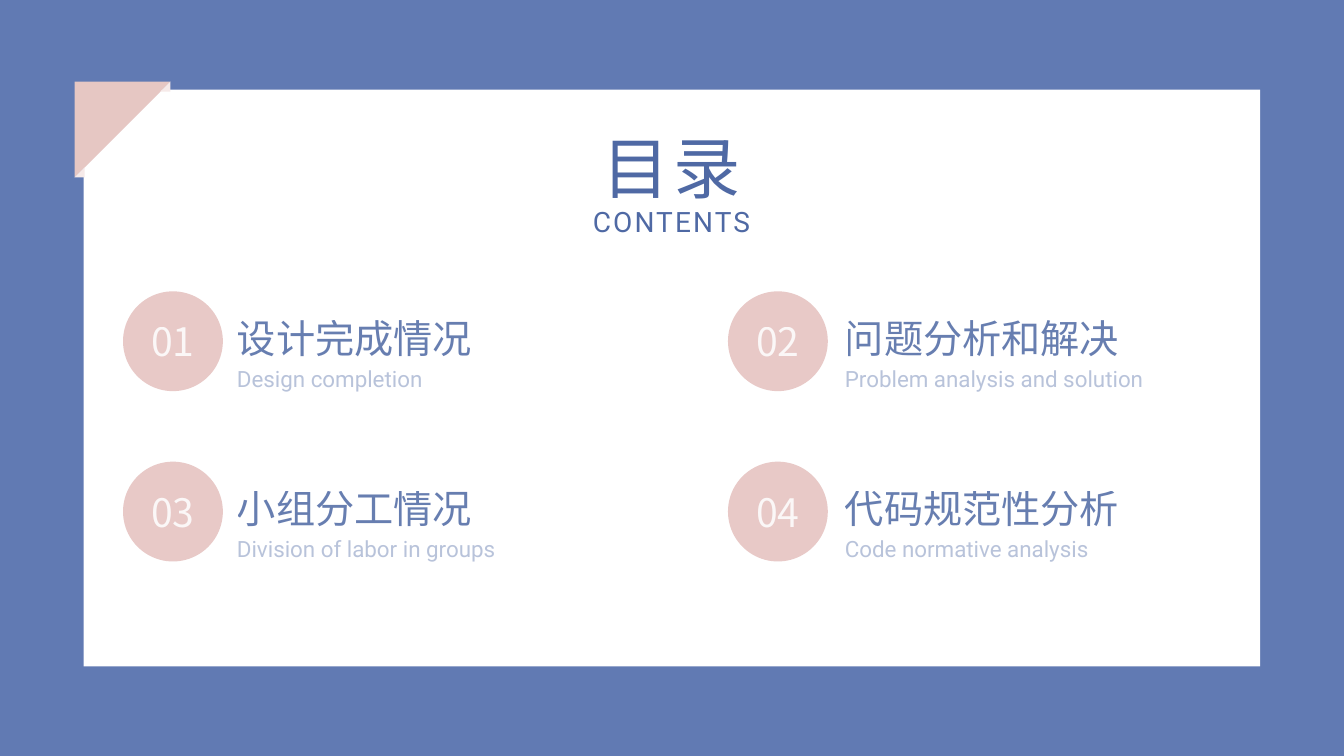
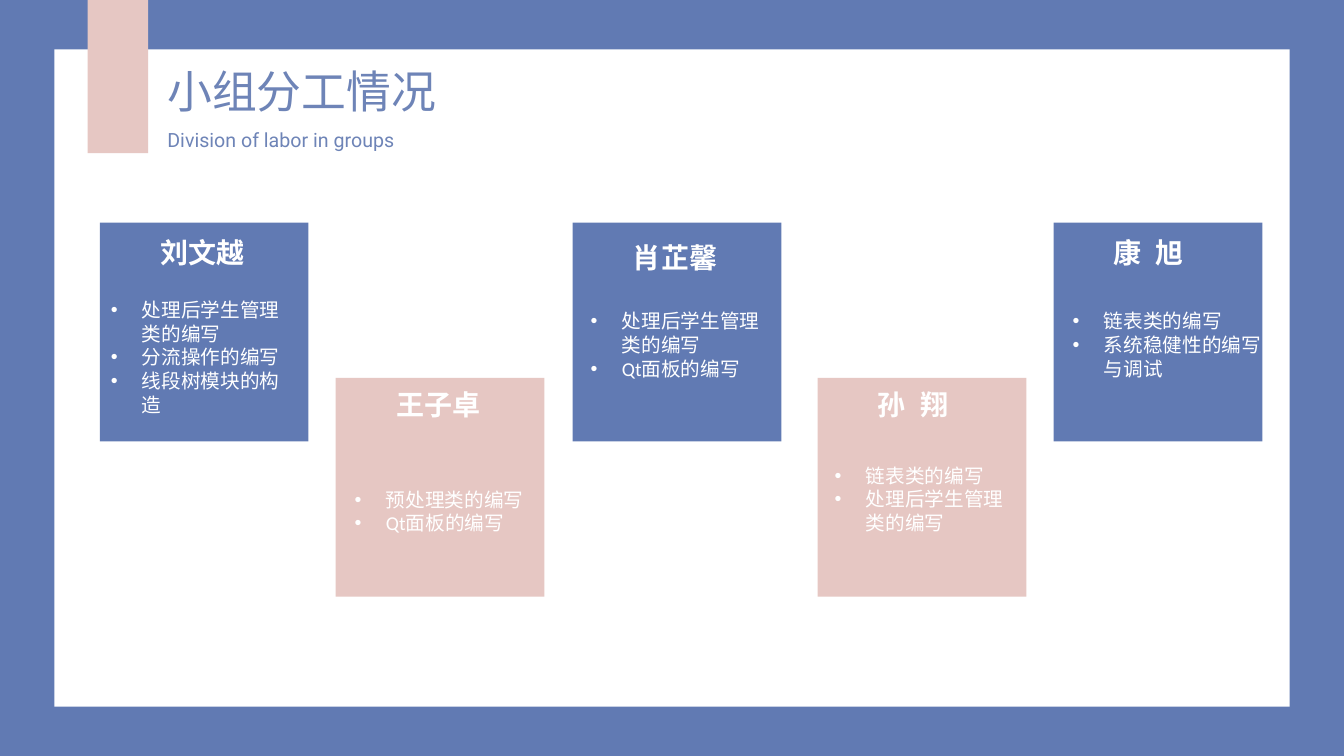
from dataclasses import dataclass

from lxml import etree
from pptx import Presentation
from pptx.dml.color import RGBColor
from pptx.enum import shapes, text
from pptx.oxml import ns
from pptx.util import Inches, Pt


@dataclass(frozen=True)
class Theme:
    """Colours, fonts and type sizes shared by the slides."""
    blue: str = "617AB3"
    ink: str = "4F69A4"
    heading: str = "6E84B7"
    pink: str = "E6C7C3"
    circle: str = "E8C9C7"
    fold: str = "F6EAE9"
    white: str = "FFFFFF"
    chinese: str = "Noto Sans CJK SC"
    english: str = "Roboto"
    body: str = "Calibri"
    contents_size: int = 48
    heading_size: int = 32
    entry_size: int = 28
    label_size: int = 20
    note_size: int = 16
    body_size: int = 14


@dataclass(frozen=True)
class Style:
    """Look of one kind of text."""
    size: int
    font: str
    colour: str
    alpha: int = 100
    leading: float = 0
    tracking: float = 0
    bold: bool = False
    centred: bool = False
    bullet: bool = False
    inset: bool = False


THEME = Theme()
CONTENTS = Style(THEME.contents_size, THEME.chinese, THEME.ink, leading=57.6, tracking=2.5, centred=True)
CONTENTS_NOTE = Style(THEME.label_size, THEME.english, THEME.ink, leading=24, tracking=1.5, centred=True)
ENTRY = Style(THEME.entry_size, THEME.chinese, THEME.ink, alpha=85, leading=33.6)
ENTRY_NOTE = Style(THEME.note_size, THEME.english, THEME.ink, alpha=40, leading=19.2)
NUMBER = Style(THEME.entry_size, THEME.chinese, THEME.white, alpha=85, leading=33.6, centred=True)
HEADING = Style(THEME.heading_size, THEME.chinese, THEME.heading, leading=38.4)
HEADING_NOTE = Style(THEME.body_size, THEME.english, THEME.heading, leading=24)
MEMBER = Style(THEME.label_size, THEME.chinese, THEME.white, bold=True, inset=True)
TASK = Style(THEME.body_size, THEME.body, THEME.white, bullet=True, inset=True)


def paint(shape, colour):
    """Give a shape a plain fill without line or shadow."""
    shape.shadow.inherit = False
    shape.fill.solid()
    shape.fill.fore_color.rgb = RGBColor.from_string(colour)
    shape.line.fill.background()


def add_block(slide, box, colour, kind=shapes.MSO_SHAPE.RECTANGLE):
    """Add a filled preset shape in a box given in inches."""
    paint(slide.shapes.add_shape(kind, *map(Inches, box)), colour)


def add_triangle(slide, points, colour):
    """Add a filled triangle through three points given in inches."""
    start, *others = [(Inches(x), Inches(y)) for x, y in points]
    builder = slide.shapes.build_freeform(*start, scale=1.0)
    builder.add_line_segments(others, close=True)
    paint(builder.convert_to_shape(), colour)


def add_run(paragraph, words, style):
    """Add one styled run to a paragraph."""
    run = paragraph.add_run()
    run.text = words
    run.font.size = Pt(style.size)
    run.font.bold = style.bold
    run.font.color.rgb = RGBColor.from_string(style.colour)
    run.font.name = style.font
    properties = run._r.get_or_add_rPr()
    etree.SubElement(properties, ns.qn("a:ea"), typeface=style.font)
    if style.tracking:
        properties.set("spc", str(int(style.tracking * 100)))
    if style.alpha < 100:
        colour = properties.find(".//" + ns.qn("a:srgbClr"))
        etree.SubElement(colour, ns.qn("a:alpha"), val=str(style.alpha * 1000))


def add_text(slide, box, lines, style):
    """Add a text box with one paragraph for each line."""
    frame = slide.shapes.add_textbox(*map(Inches, box)).text_frame
    frame.word_wrap = True
    frame.auto_size = text.MSO_AUTO_SIZE.SHAPE_TO_FIT_TEXT
    if not style.inset:
        frame.margin_left = frame.margin_right = frame.margin_top = frame.margin_bottom = 0
    for index, words in enumerate(lines):
        paragraph = frame.add_paragraph() if index else frame.paragraphs[0]
        paragraph.alignment = text.PP_ALIGN.CENTER if style.centred else text.PP_ALIGN.LEFT
        if style.leading:
            paragraph.line_spacing = Pt(style.leading)
        if style.bullet:
            properties = paragraph._p.get_or_add_pPr()
            indent = Inches(0.31)
            properties.set("marL", str(indent))
            properties.set("indent", str(-indent))
            etree.SubElement(properties, ns.qn("a:buFont"), typeface="Arial")
            etree.SubElement(properties, ns.qn("a:buChar"), char="•")
        add_run(paragraph, words, style)


def add_title_pair(slide, box, drop, titles, styles):
    """Place a Chinese title with its English line a drop below."""
    left, top, width, height = box
    add_text(slide, (left, top, width, drop), titles[:1], styles[0])
    add_text(slide, (left, top + drop, width, height - drop), titles[1:], styles[1])


def add_page(presentation, panel):
    """Add a blue slide with a white panel."""
    slide = presentation.slides.add_slide(presentation.slide_layouts[6])
    slide.background.fill.solid()
    slide.background.fill.fore_color.rgb = RGBColor.from_string(THEME.blue)
    add_block(slide, panel, THEME.white)
    return slide


def add_folded_corner(slide, left, top, side, tip):
    """Place the pink corner with a light fold at both ends."""
    right, bottom = left + side, top + side
    add_triangle(slide, [(left, top), (right, top), (left, bottom)], THEME.pink)
    for x, y in ((right, top + tip), (left + tip, bottom)):
        add_triangle(slide, [(x, y), (x - tip, y), (x, y - tip)], THEME.fold)


def add_entry(slide, box, gap, number, titles):
    """Place a numbered circle and its two lines of text."""
    left, top, width, height = box
    circle = 0.99
    add_block(slide, (left, top, circle, circle), THEME.circle, shapes.MSO_SHAPE.OVAL)
    add_text(slide, (left + 0.05, top + 0.26, circle - 0.1, 0.42), [f"{number:02}"], NUMBER)
    offset = circle + gap
    add_title_pair(slide, (left + offset, top + 0.23, width - offset, height - 0.23),
                   0.5, titles, (ENTRY, ENTRY_NOTE))


def build_contents(presentation):
    """Build the contents slide."""
    slide = add_page(presentation, (0.83, 0.89, 11.67, 5.72))
    add_folded_corner(slide, 0.74, 0.81, 0.95, 0.1)
    add_title_pair(slide, (5.47, 1.25, 2.38, 1.12), 0.78, ("目录", "CONTENTS"), (CONTENTS, CONTENTS_NOTE))
    entries = (
        ("设计完成情况", "Design completion"),
        ("问题分析和解决", "Problem analysis and solution"),
        ("小组分工情况", "Division of labor in groups"),
        ("代码规范性分析", "Code normative analysis"),
    )
    columns = ((1.22, 5.86, 0.14), (7.22, 4.93, 0.17))
    for index, titles in enumerate(entries):
        row, column = divmod(index, len(columns))
        left, width, gap = columns[column]
        add_entry(slide, (left, 2.89 + row * 1.69, width, 1), gap, index + 1, titles)


def add_card(slide, box, colour, member, member_drop, task_box, tasks):
    """Place a member's card with the name above the tasks."""
    left, top, width, height = box
    add_block(slide, box, colour)
    add_text(slide, (left + 0.5, top + member_drop, 1.13, 0.44), [member], MEMBER)
    shift, drop, task_width = task_box
    add_text(slide, (left + shift, top + drop, task_width, 0.81), tasks, TASK)


def build_division(presentation):
    """Build the slide on the division of labour."""
    slide = add_page(presentation, (0.54, 0.49, 12.25, 6.52))
    add_block(slide, (0.87, 0, 0.6, 1.52), THEME.pink)
    add_title_pair(slide, (1.66, 0.63, 4.92, 0.83), 0.54,
                   ("小组分工情况", "Division of labor in groups"), (HEADING, HEADING_NOTE))
    manager, panel, linked = "处理后学生管理类的编写", "Qt面板的编写", "链表类的编写"
    cards = (
        (0.99, "刘文越", 0.08, (0.01, 0.7, 1.99), (manager, "分流操作的编写", "线段树模块的构造")),
        (3.33, "王子卓", 0.05, (0.09, 1.04, 1.97), ("预处理类的编写", panel)),
        (5.68, "肖芷馨", 0.13, (0.08, 0.81, 1.9), (manager, panel)),
        (8.11, "孙\u2002翔", 0.05, (0.07, 0.8, 2.01), (linked, manager)),
        (10.45, "康\u2002旭", 0.08, (0.09, 0.81, 2.07), (linked, "系统稳健性的编写与调试")),
    )
    rows = ((2.21, THEME.blue), (3.75, THEME.pink))
    for index, (left, *content) in enumerate(cards):
        top, colour = rows[index % 2]
        add_card(slide, (left, top, 2.07, 2.17), colour, *content)


def main():
    """Build and save the presentation."""
    presentation = Presentation()
    presentation.slide_width = Inches(13.33)
    presentation.slide_height = Inches(7.5)
    build_contents(presentation)
    build_division(presentation)
    presentation.save("out.pptx")


main()
